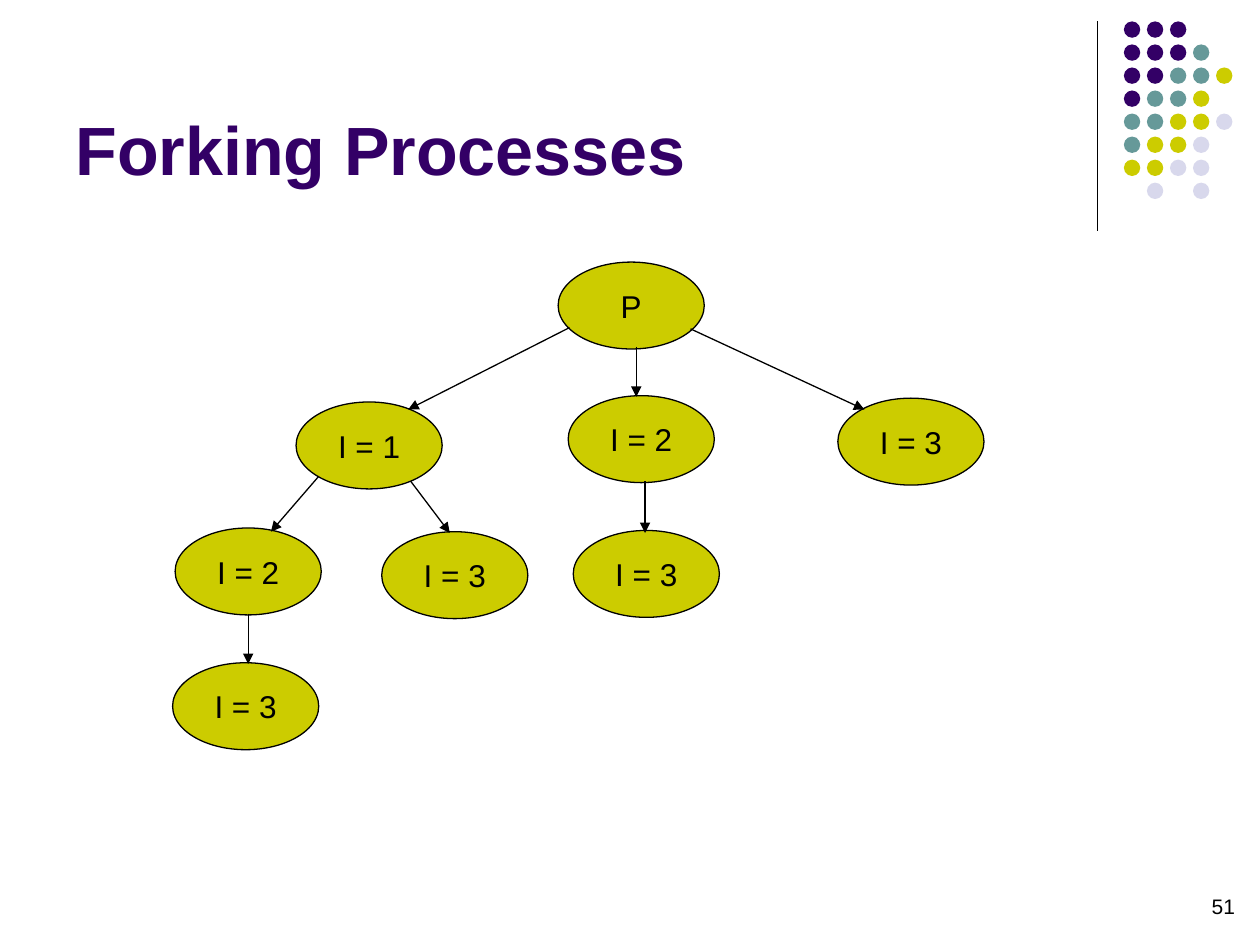
from dataclasses import dataclass

from lxml.etree import SubElement
from pptx import Presentation
from pptx.dml.color import RGBColor as Color
from pptx.enum.shapes import MSO_CONNECTOR as Connector, MSO_SHAPE as Shape
from pptx.enum.text import MSO_ANCHOR as Anchor, PP_ALIGN as Align
from pptx.oxml.ns import qn
from pptx.util import Inches, Pt


@dataclass(frozen=True)
class Theme:
    font: str = "Arial"
    ink: str = "000000"
    purple: str = "330066"
    teal: str = "669999"
    olive: str = "CCCC00"
    mist: str = "D8D8EC"
    title_size: int = 39
    node_size: int = 18
    number_size: int = 12
    line_width: float = 0.75


class SlideBuilder:
    def __init__(self, page, theme):
        self.page = page
        self.theme = theme

    def label(self, shape, text, size, color, align, anchor, wrap=True, bold=False):
        frame = shape.text_frame
        frame_format = {
            "word_wrap": wrap, "vertical_anchor": anchor,
            "margin_left": Inches(0.1), "margin_right": Inches(0.1),
            "margin_top": Inches(0.05), "margin_bottom": Inches(0.05),
        }
        for name, value in frame_format.items():
            setattr(frame, name, value)
        para = frame.paragraphs[0]
        para.alignment = align
        span = para.add_run()
        span.text = text
        font_format = {"name": self.theme.font, "size": Pt(size), "bold": bold}
        for name, value in font_format.items():
            setattr(span.font, name, value)
        span.font.color.rgb = Color.from_string(color)

    def text(self, place, text, size, color, align=Align.LEFT, anchor=Anchor.TOP, bold=False):
        box = self.page.shapes.add_textbox(*map(Inches, place))
        self.label(box, text, size, color, align, anchor, bold=bold)

    def ellipse(self, place, fill):
        shape = self.page.shapes.add_shape(Shape.OVAL, *map(Inches, place))
        shape.shadow.inherit = False
        shape.fill.solid()
        shape.fill.fore_color.rgb = Color.from_string(fill)
        shape.line.fill.background()
        return shape

    def stroke(self, line):
        line.color.rgb = Color.from_string(self.theme.ink)
        line.width = Pt(self.theme.line_width)

    def node(self, left, top, text):
        shape = self.ellipse((left, top, 1.16, 0.69), self.theme.olive)
        self.stroke(shape.line)
        self.label(shape, text, self.theme.node_size, self.theme.ink,
                   Align.CENTER, Anchor.MIDDLE, wrap=False)

    def line(self, start, end, arrow=False):
        link = self.page.shapes.add_connector(
            Connector.STRAIGHT, *map(Inches, (*start, *end)))
        self.stroke(link.line)
        properties = link._element.spPr
        if arrow:
            SubElement(properties.find(qn("a:ln")), qn("a:tailEnd"), type="triangle")
        SubElement(properties, qn("a:effectLst"))

    def dots(self, left, top, pitch, size, rows):
        fills = {"P": self.theme.purple, "T": self.theme.teal,
                 "O": self.theme.olive, "M": self.theme.mist}
        for row, codes in enumerate(rows):
            for column, code in enumerate(codes):
                if code in fills:
                    place = (left + column * pitch, top + row * pitch, size, size)
                    self.ellipse(place, fills[code])


DOT_ROWS = ["PPP", "PPPT", "PPTTO", "PTTO", "TTOOM", "TOOM", "OOMM", ".M.M"]
DOT_PITCH = 1.28 / 7

NODES = [
    (4.43, 2.08, "P"),
    (2.35, 3.19, "I = 1"),
    (4.51, 3.14, "I = 2"),
    (6.65, 3.16, "I = 3"),
    (4.55, 4.21, "I = 3"),
    (1.37, 5.26, "I = 3"),
    (3.03, 4.22, "I = 3"),
    (1.39, 4.19, "I = 2"),
]

ARROWS = [
    ((5.05, 2.75), (5.05, 3.15)),
    ((5.12, 3.82), (5.12, 4.23)),
    ((4.52, 2.6), (3.24, 3.25)),
    ((5.48, 2.61), (6.86, 3.25)),
    ((2.53, 3.78), (2.15, 4.22)),
    ((3.26, 3.82), (3.57, 4.23)),
    ((1.97, 4.87), (1.97, 5.27)),
]


def main():
    deck = Presentation()
    deck.slide_width, deck.slide_height = Inches(10), Inches(7.5)
    theme = Theme()
    builder = SlideBuilder(deck.slides.add_slide(deck.slide_layouts[6]), theme)

    builder.line((8.71, 0.17), (8.71, 1.83))
    builder.dots(8.92, 0.17, DOT_PITCH, 0.13, DOT_ROWS)
    builder.text((7.57, 7.04, 2.33, 0.5), "51", theme.number_size, theme.ink, Align.RIGHT)
    builder.text((0.5, 0.13, 8.25, 1.42), "Forking Processes", theme.title_size,
                 theme.purple, anchor=Anchor.BOTTOM, bold=True)
    for left, top, text in NODES:
        builder.node(left, top, text)
    for start, end in ARROWS:
        builder.line(start, end, arrow=True)

    deck.save("out.pptx")


if __name__ == "__main__":
    main()
